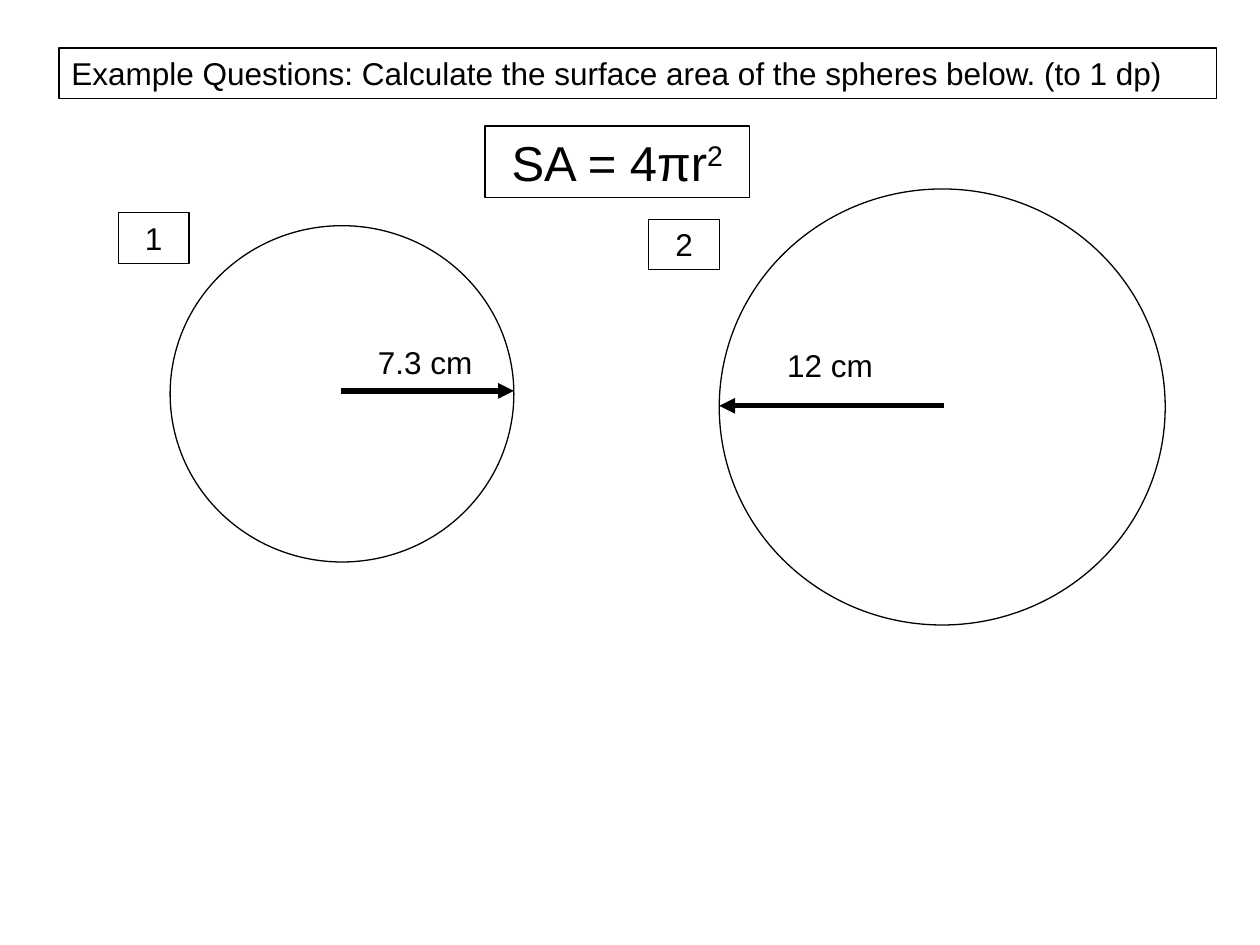
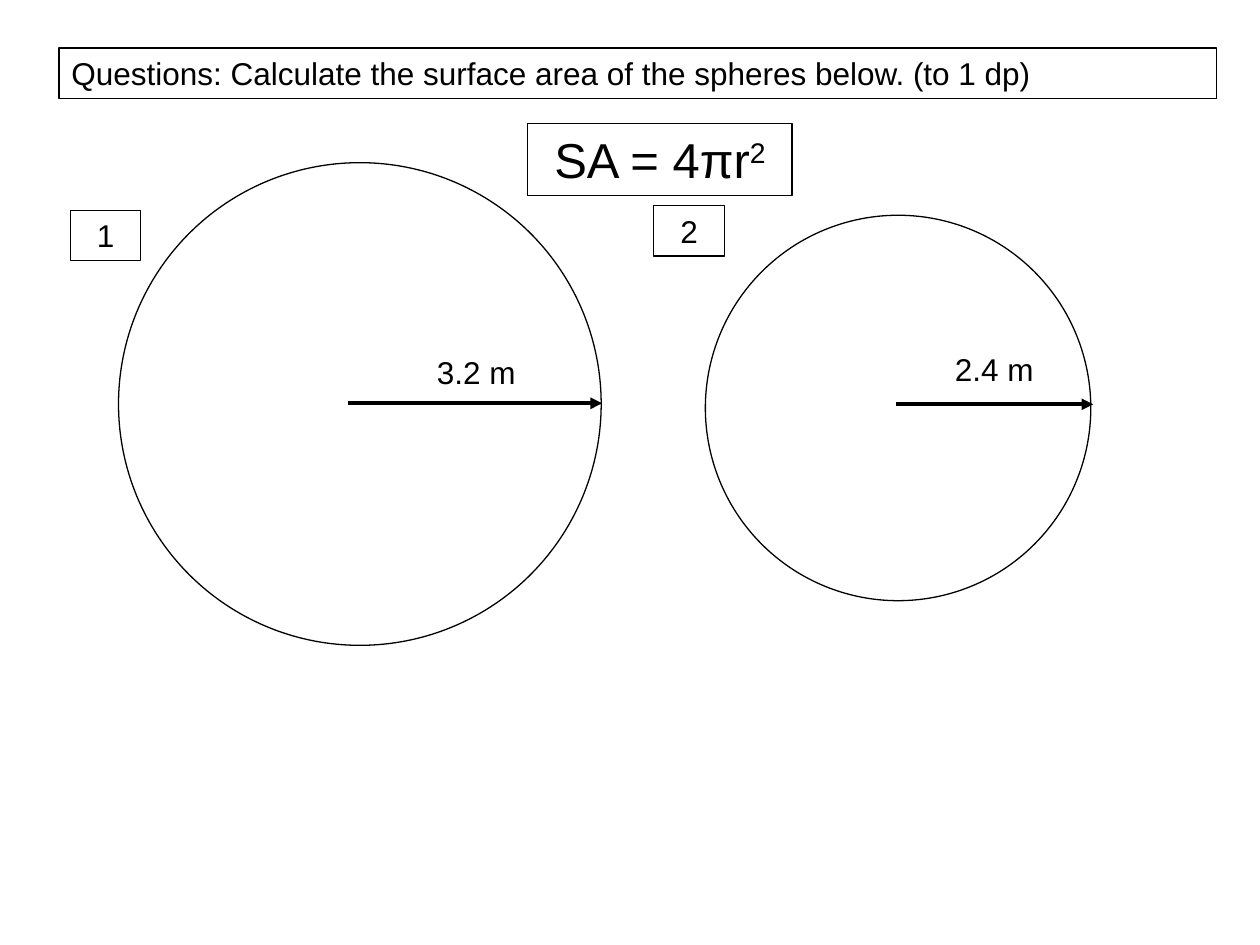
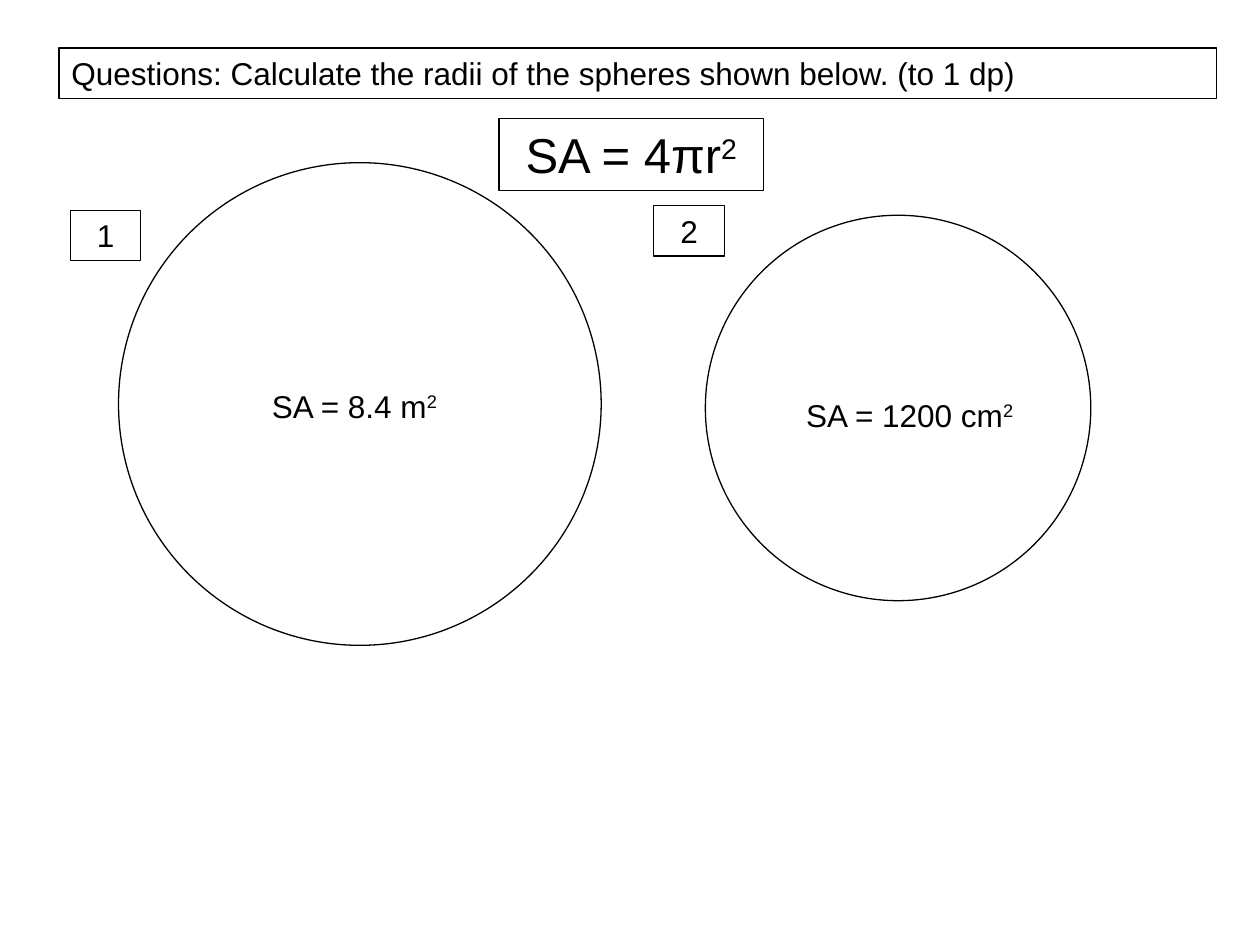
from lxml.etree import SubElement
from pptx import Presentation
from pptx.dml.color import RGBColor
from pptx.enum.shapes import MSO_CONNECTOR, MSO_SHAPE
from pptx.enum.text import MSO_ANCHOR, MSO_AUTO_SIZE, PP_ALIGN
from pptx.oxml.ns import qn
from pptx.util import Cm, Pt

BLACK = RGBColor(0x00, 0x00, 0x00)
WHITE = RGBColor(0xFF, 0xFF, 0xFF)
FONT = "Arial"
LINE_H = 1.02
TITLE_BOX = (1.19, 0.97, 23.34, LINE_H)
FORMULA_SIZE = (5.33, 1.45)
TAG_SIZE = (1.42, LINE_H)

# Sphere boxes are left, top, width, height in cm. Tag, label and arrow
# positions are measured from the top left corner of the sphere box.
BIG_SPHERE = dict(number="1", box=(2.39, 3.28, 9.73, 9.73), tag=(-0.97, 0.96))
SMALL_SPHERE = dict(number="2", box=(14.22, 4.34, 7.77, 7.77), tag=(-1.04, -0.2))

SLIDES = [
    dict(
        title="Example Questions: Calculate the surface area of the spheres below. (to 1 dp)",
        formula_at=(9.78, 2.54),
        spheres=[
            dict(number="1", box=(3.43, 4.55, 6.93, 6.78), tag=(-1.04, -0.26),
                 label="7.3 cm", label_box=(3.94, 2.24, 2.54),
                 arrow=(3.45, 6.93, 3.33), weight=3),
            dict(number="2", box=(14.5, 3.81, 8.99, 8.79), tag=(-1.42, 0.61),
                 label="12 cm", label_box=(1.12, 3.05, 2.26),
                 arrow=(4.52, 0, 4.37), weight=3),
        ],
    ),
    dict(
        title="Questions: Calculate the surface area of the spheres below. (to 1 dp)",
        formula_at=(10.64, 2.49),
        spheres=[
            dict(BIG_SPHERE, label="3.2 m", label_box=(6.17, 3.71, 2.13),
                 arrow=(4.62, 9.75, 4.85)),
            dict(SMALL_SPHERE, label="2.4 m", label_box=(4.78, 2.59, 2.13),
                 arrow=(3.84, 7.82, 3.81)),
        ],
    ),
    dict(
        title="Questions: Calculate the radii of the spheres shown below. (to 1 dp)",
        formula_at=(10.06, 2.39),
        spheres=[
            dict(BIG_SPHERE, label="SA = 8.4 m", power="2", label_box=(2.84, 4.39, 4.85)),
            dict(SMALL_SPHERE, label="SA = 1200 cm", power="2", label_box=(1.78, 3.51, 4.85)),
        ],
    ),
]


def add_outline(s, kind, box):
    """Add an unfilled shape with a thin black line."""
    sp = s.shapes.add_shape(kind, *map(Cm, box))
    sp.shadow.inherit = False
    sp.fill.background()
    sp.line.color.rgb = BLACK
    sp.line.width = Pt(0.75)
    return sp


def write(sp, text, power="", size=18, align=PP_ALIGN.LEFT):
    """Set one line of text, with an optional raised power after it."""
    tf = sp.text_frame
    tf.word_wrap = True
    tf.auto_size = MSO_AUTO_SIZE.SHAPE_TO_FIT_TEXT
    tf.vertical_anchor = MSO_ANCHOR.TOP
    p = tf.paragraphs[0]
    p.text = text
    p.alignment = align
    if power:
        r = p.add_run()
        r.text = power
        r._r.get_or_add_rPr().set("baseline", "30000")
    for r in p.runs:
        r.font.name = FONT
        r.font.size = Pt(size)
        r.font.color.rgb = BLACK


def add_title(s, text):
    write(add_outline(s, MSO_SHAPE.RECTANGLE, TITLE_BOX), text)


def add_formula(s, at):
    sp = add_outline(s, MSO_SHAPE.RECTANGLE, (*at, *FORMULA_SIZE))
    write(sp, "SA = 4πr", power="2", size=28, align=PP_ALIGN.CENTER)


def add_label(s, box, text, power):
    sp = s.shapes.add_textbox(*map(Cm, box))
    sp.fill.solid()
    sp.fill.fore_color.rgb = WHITE
    write(sp, text, power)


def add_arrow(s, x1, x2, y, weight):
    line = s.shapes.add_connector(MSO_CONNECTOR.STRAIGHT, Cm(x1), Cm(y), Cm(x2), Cm(y))
    line.line.color.rgb = BLACK
    line.line.width = Pt(weight)
    SubElement(line.line._get_or_add_ln(), qn("a:tailEnd"), type="triangle")
    SubElement(line._element.spPr, qn("a:effectLst"))


def add_sphere(s, number, box, tag, label, label_box, power="", arrow=None, weight=2.25):
    """Draw a numbered sphere; arrow is its start x, end x and y."""
    left, top = box[:2]
    add_outline(s, MSO_SHAPE.OVAL, box)
    tag_box = (left + tag[0], top + tag[1], *TAG_SIZE)
    write(add_outline(s, MSO_SHAPE.RECTANGLE, tag_box), number, align=PP_ALIGN.CENTER)
    x, y, width = label_box
    add_label(s, (left + x, top + y, width, LINE_H), label, power)
    if arrow:
        start, end, y = arrow
        add_arrow(s, left + start, left + end, top + y, weight)


def add_question_slide(prs, title, formula_at, spheres):
    s = prs.slides.add_slide(prs.slide_layouts[6])
    add_title(s, title)
    for sphere in spheres:
        add_sphere(s, **sphere)
    add_formula(s, formula_at)


def main():
    prs = Presentation()
    prs.slide_width, prs.slide_height = Cm(25.4), Cm(19.05)
    for slide in SLIDES:
        add_question_slide(prs, **slide)
    prs.save("out.pptx")


if __name__ == "__main__":
    main()
